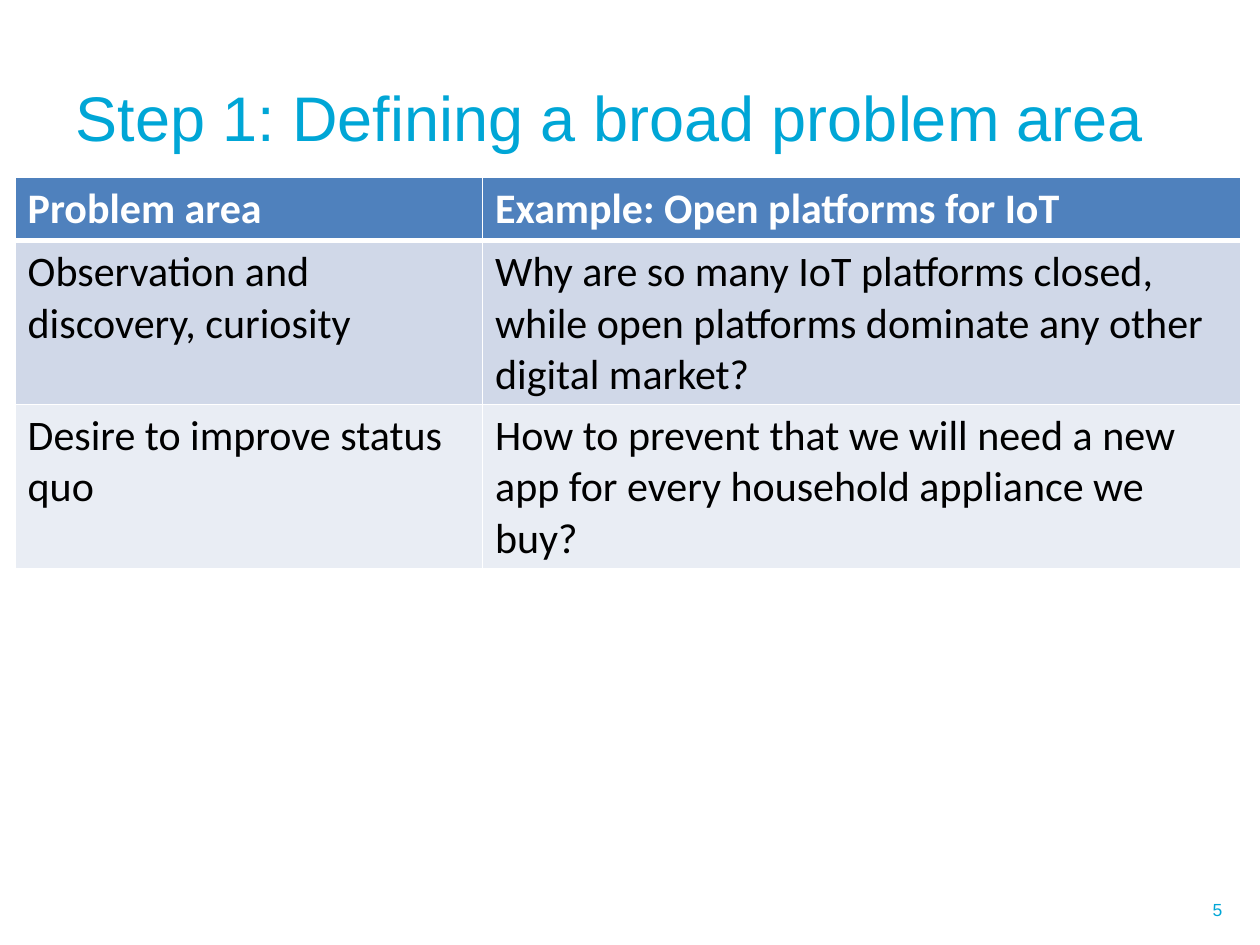
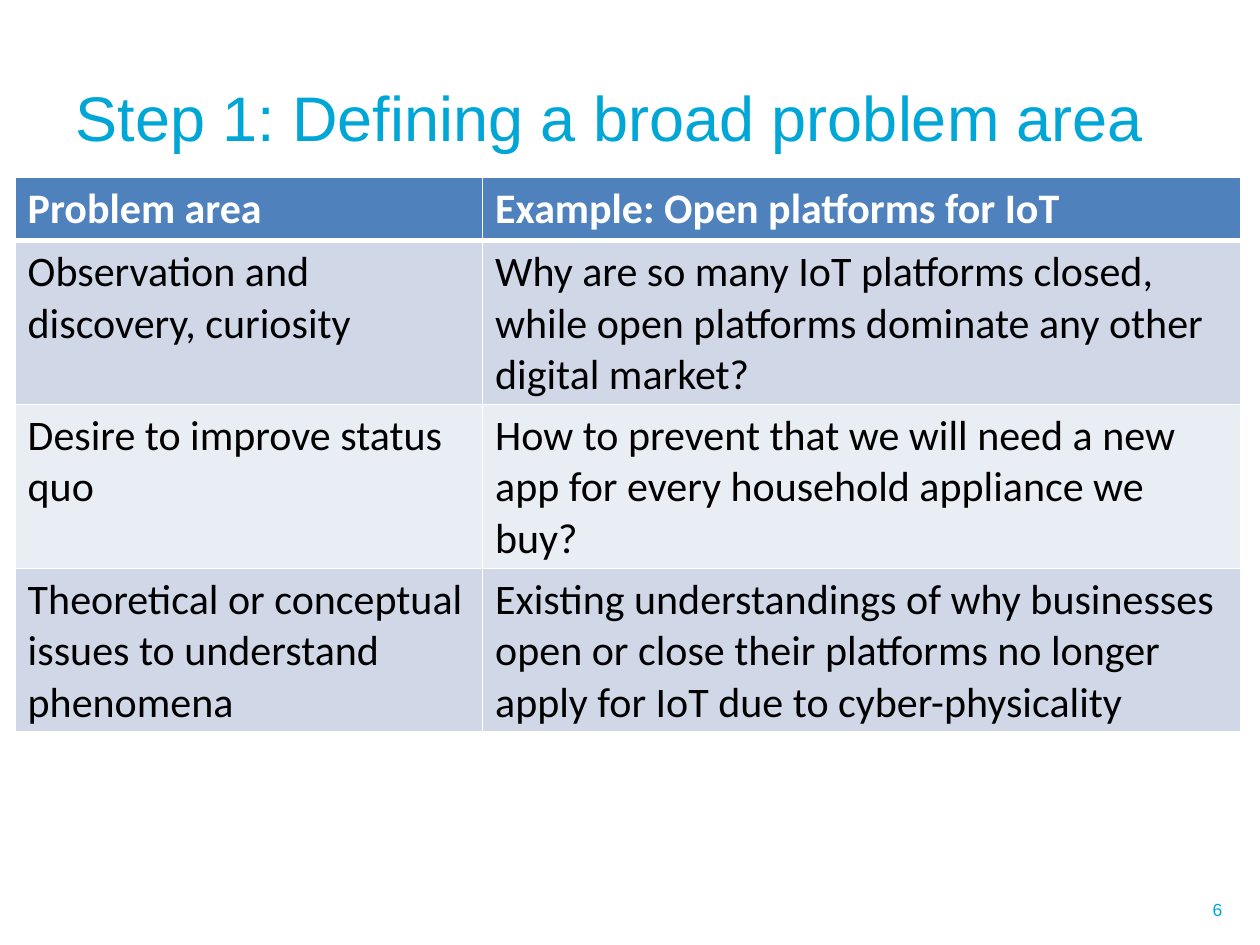
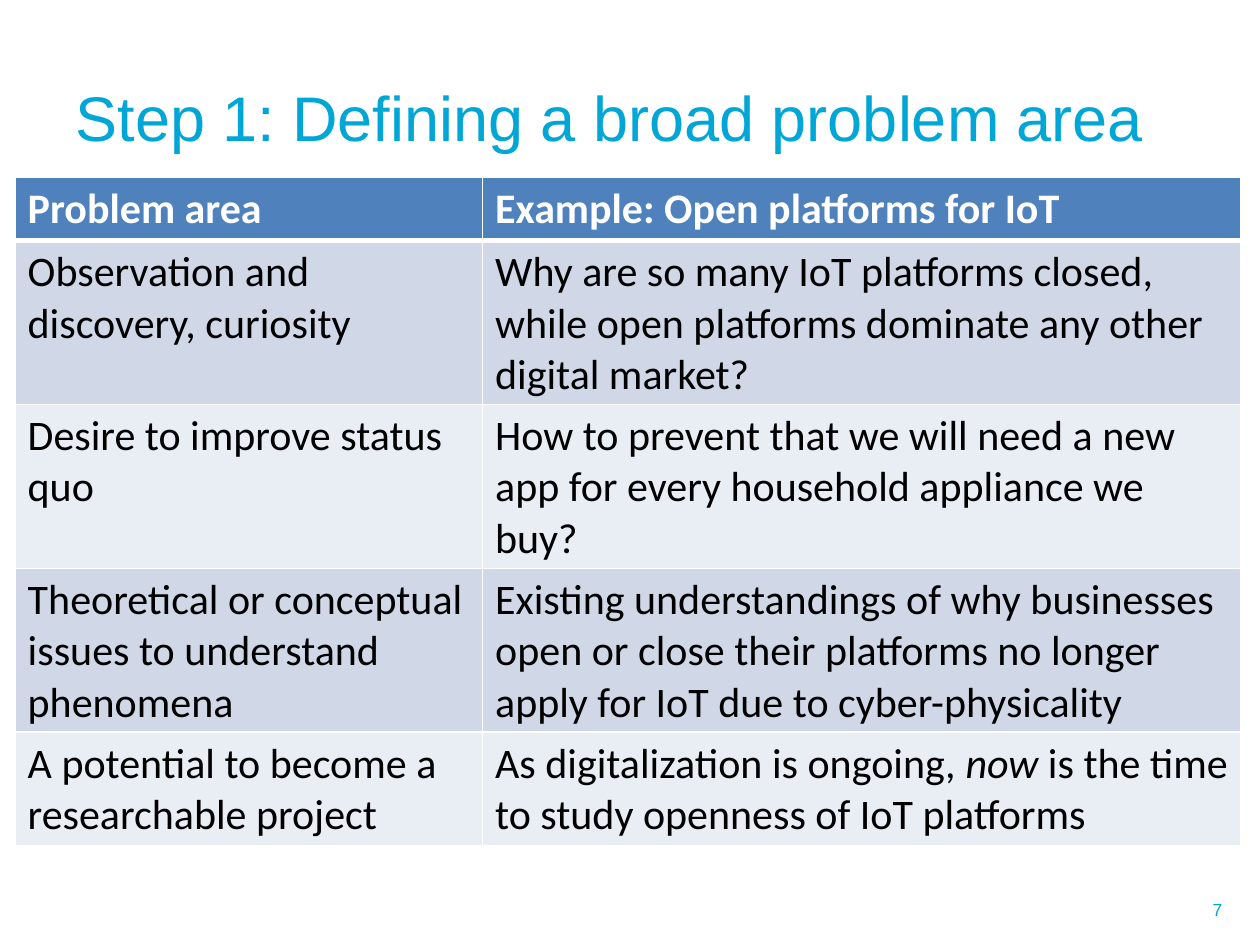
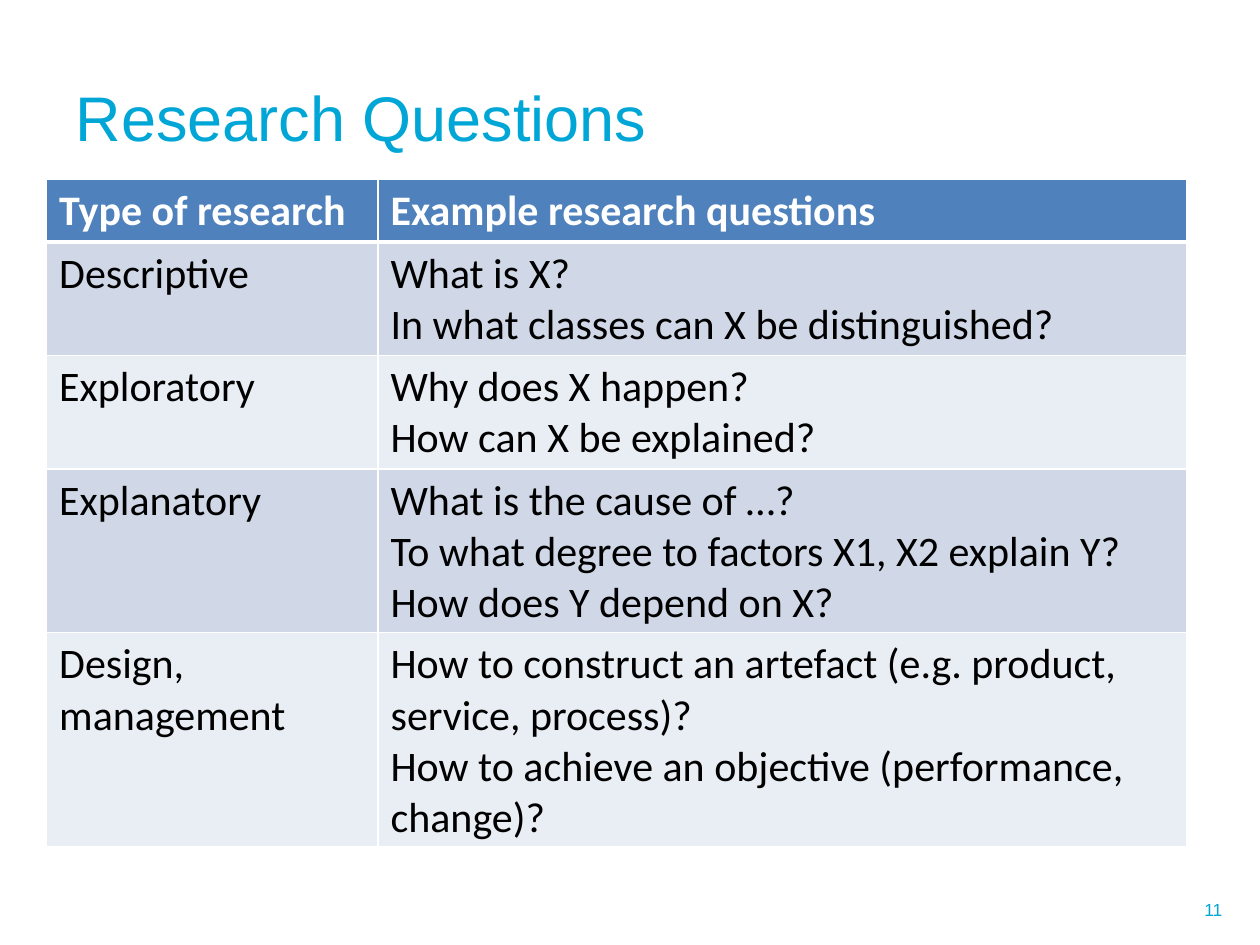
from lxml import etree
from pptx import Presentation
from pptx.dml.color import RGBColor
from pptx.enum.text import MSO_ANCHOR, MSO_AUTO_SIZE, PP_ALIGN
from pptx.oxml.ns import qn
from pptx.util import Inches, Pt

LEFT, RIGHT = PP_ALIGN.LEFT, PP_ALIGN.RIGHT
MIDDLE = MSO_ANCHOR.MIDDLE
NO_AUTOFIT = MSO_AUTO_SIZE.NONE

COLORS = {
    "accent": "00A6D6",
    "header": "4F81BD",
    "band_dark": "D0D8E8",
    "band_light": "E9EDF4",
    "white": "FFFFFF",
    "black": "000000",
}
TITLE_FONT, TABLE_FONT = "Arial", "Calibri"
TITLE_BOX = (0.5, 0.3, 9.14, 1.25)
NUMBER_BOX = (7.27, 7.02, 2.53, 0.4)
ROW_HEIGHT = 0.41
THIN, THICK = 1, 3

PROBLEM_TITLE = "Step 1: Defining a broad problem area"
PROBLEM_ROWS = [
    ("Problem area", "Example: Open platforms for IoT"),
    ("Observation and discovery, curiosity",
     "Why are so many IoT platforms closed, while open platforms dominate any other digital market?"),
    ("Desire to improve status quo",
     "How to prevent that we will need a new app for every household appliance we buy?"),
    ("Theoretical or conceptual issues to understand phenomena",
     "Existing understandings of why businesses open or close their platforms "
     "no longer apply for IoT due to cyber-physicality"),
    ("A potential to become a researchable project",
     "As digitalization is ongoing, *now *is the time to study openness of IoT platforms"),
]
QUESTION_ROWS = [
    ("Type of research", "Example research questions"),
    ("Descriptive", "What is X?\nIn what classes can X be distinguished?"),
    ("Exploratory", "Why does X happen?\nHow can X be explained?"),
    ("Explanatory",
     "What is the cause of …?\nTo what degree to factors X1, X2 explain Y?\nHow does Y depend on X?"),
    ("Design, management",
     "How to construct an artefact (e.g. product, service, process)?\n"
     "How to achieve an objective (performance, change)?"),
]


def write(frame, text, *, font, size, color, bold=False, align=LEFT):
    """Write one paragraph per line, with the parts between asterisks in italics."""
    for index, line in enumerate(text.split("\n")):
        para = frame.add_paragraph() if index else frame.paragraphs[0]
        para.alignment = align
        for part, content in enumerate(line.split("*")):
            span = para.add_run()
            span.text = content
            span.font.name = font
            span.font.size = Pt(size)
            span.font.bold = bold
            span.font.italic = part % 2 == 1
            span.font.color.rgb = RGBColor.from_string(COLORS[color])


def set_borders(cell, top, bottom):
    """Draw white lines around a cell, with top and bottom widths in points."""
    properties = cell._tc.get_or_add_tcPr()
    widths = {"a:lnL": THIN, "a:lnR": THIN, "a:lnT": top, "a:lnB": bottom}
    for position, (tag, width) in enumerate(widths.items()):
        line = etree.Element(qn(tag), w=str(Pt(width)))
        fill = etree.SubElement(line, qn("a:solidFill"))
        etree.SubElement(fill, qn("a:srgbClr"), val=COLORS["white"])
        properties.insert(position, line)


def add_title(page, text, box):
    """Place and format the title placeholder."""
    title = page.shapes.title
    title.left, title.top, title.width, title.height = map(Inches, box)
    frame = title.text_frame
    frame.auto_size = NO_AUTOFIT
    frame.vertical_anchor = MIDDLE
    write(frame, text, font=TITLE_FONT, size=36, color="accent")


def add_number(page, number, box):
    """Add the page number at the lower right."""
    frame = page.shapes.add_textbox(*map(Inches, box)).text_frame
    frame.word_wrap = True
    frame.vertical_anchor = MIDDLE
    write(frame, str(number), font=TITLE_FONT, size=10, color="accent", align=RIGHT)


def add_banded_table(page, rows, box, first_width):
    """Add a table with a header row and banded body rows."""
    left, top, width, height = box
    holder = page.shapes.add_table(len(rows), 2, *map(Inches, box))
    table = holder.table
    table.columns[0].width = Inches(first_width)
    table.columns[1].width = Inches(width - first_width)
    for row, texts in enumerate(rows):
        table.rows[row].height = Inches(ROW_HEIGHT)
        header = row == 0
        fill = "header" if header else "band_dark" if row % 2 else "band_light"
        for column, text in enumerate(texts):
            cell = table.cell(row, column)
            cell.fill.solid()
            cell.fill.fore_color.rgb = RGBColor.from_string(COLORS[fill])
            set_borders(cell, THICK if row == 1 else THIN, THICK if header else THIN)
            write(cell.text_frame, text, font=TABLE_FONT, size=24,
                  color="white" if header else "black", bold=header)
    holder.height = Inches(height)


def add_table_page(deck, number, title, rows, box, first_width):
    """Add a page with a title, a table and a page number."""
    page = deck.slides.add_slide(deck.slide_layouts.get_by_name("Title Only"))
    add_number(page, number, NUMBER_BOX)
    add_title(page, title, TITLE_BOX)
    add_banded_table(page, rows, box, first_width)


def main():
    """Build the deck and save it."""
    deck = Presentation()
    deck.slide_width, deck.slide_height = Inches(10), Inches(7.5)
    for number, row_count, height in ((5, 3, 3.1), (6, 4, 4.4), (7, 5, 5.3)):
        add_table_page(deck, number, PROBLEM_TITLE, PROBLEM_ROWS[:row_count],
                       (0.12, 1.41, 9.73, height), 3.71)
    add_table_page(deck, 11, "Research Questions", QUESTION_ROWS, (0.37, 1.42, 9.05, 5.3), 2.63)
    deck.save("out.pptx")


if __name__ == "__main__":
    main()
